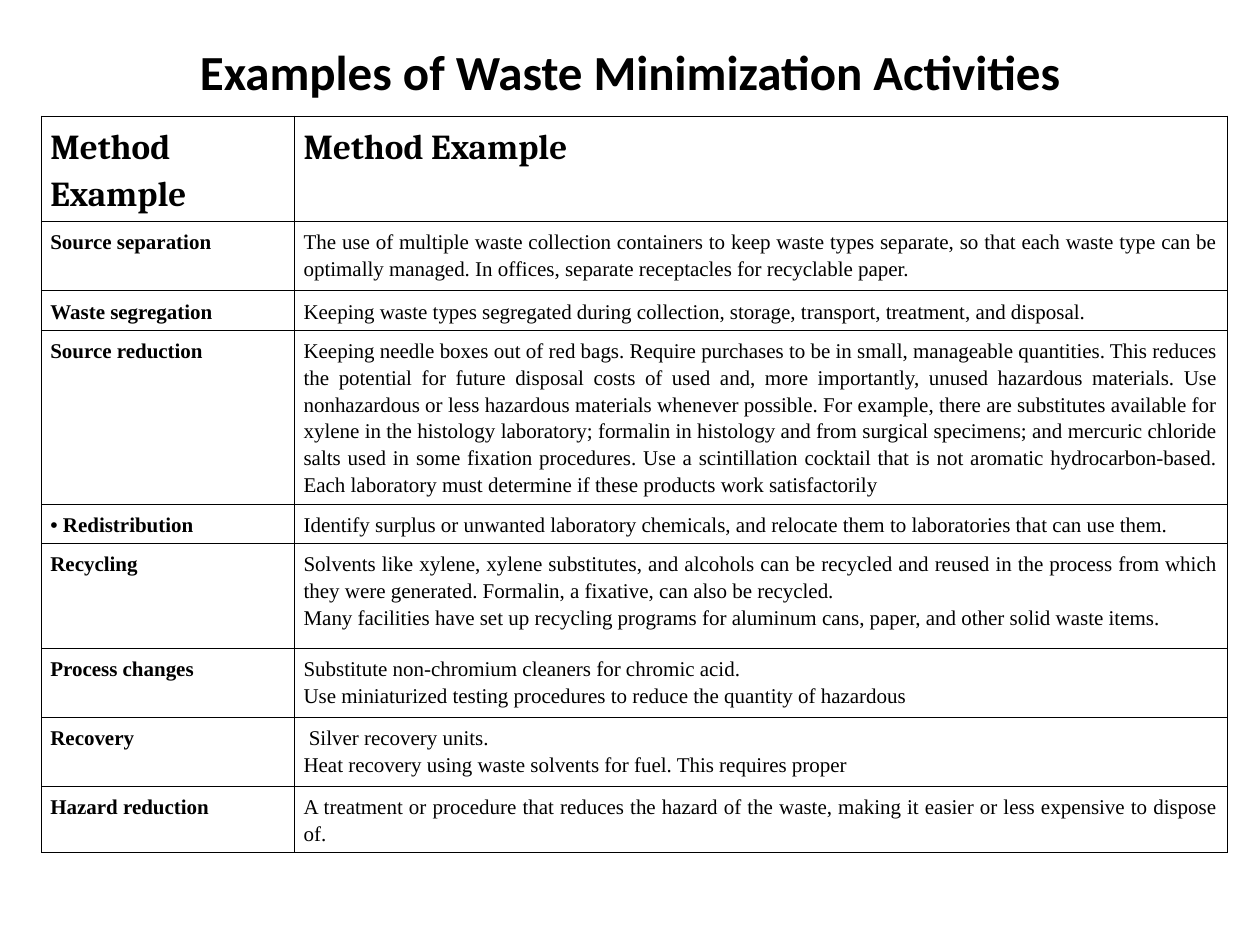
from lxml import etree
from pptx import Presentation, util as u
from pptx.dml.color import RGBColor
from pptx.enum import text
from pptx.oxml import ns

TITLE = "Examples of Waste Minimization Activities"
HEADINGS = ("Method Example", "Method Example")
METHODS = [
    ("Source separation",
     "The use of multiple waste collection containers to keep waste types separate, "
     "so that each waste type can be optimally managed. In offices, separate "
     "receptacles for recyclable paper."),
    ("Waste segregation",
     "Keeping waste types segregated during collection, storage, transport, "
     "treatment, and disposal."),
    ("Source reduction",
     "Keeping needle boxes out of red bags. Require purchases to be in small, "
     "manageable quantities. This reduces the potential for future disposal costs "
     "of used and, more importantly, unused hazardous materials. Use nonhazardous "
     "or less hazardous materials whenever possible. For example, there are "
     "substitutes available for xylene in the histology laboratory; formalin in "
     "histology and from surgical specimens; and mercuric chloride salts used in "
     "some fixation procedures. Use a scintillation cocktail that is not aromatic "
     "hydrocarbon-based. Each laboratory must determine if these products work "
     "satisfactorily"),
    ("• Redistribution",
     "Identify surplus or unwanted laboratory chemicals, and relocate them to "
     "laboratories that can use them."),
    ("Recycling",
     "Solvents like xylene, xylene substitutes, and alcohols can be recycled and "
     "reused in the process from which they were generated. Formalin, a fixative, "
     "can also be recycled.\n"
     "Many facilities have set up recycling programs for aluminum cans, paper, and "
     "other solid waste items."),
    ("Process changes",
     "Substitute non-chromium cleaners for chromic acid.\n"
     "Use miniaturized testing procedures to reduce the quantity of hazardous"),
    ("Recovery",
     " Silver recovery units.\n"
     "Heat recovery using waste solvents for fuel. This requires proper"),
    ("Hazard reduction",
     "A treatment or procedure that reduces the hazard of the waste, making it "
     "easier or less expensive to dispose of."),
]
COLUMN_WIDTHS = (2.01, 7.4)
ROW_HEIGHTS = (0.77, 0.55, 0.28, 1.38, 0.28, 0.83, 0.55, 0.55, 0.46)
BLACK = "000000"


def color(value):
    return RGBColor.from_string(value)


def format_text(frame, font, size, bold, alignment, spacing):
    for paragraph in frame.paragraphs:
        paragraph.alignment = alignment
        paragraph.line_spacing = spacing
        for run in paragraph.runs:
            run.font.name = font
            run.font.size = u.Pt(size)
            run.font.bold = bold
            run.font.color.rgb = color(BLACK)


def add_borders(cell, value, width):
    properties = cell._tc.get_or_add_tcPr()
    for side in ("a:lnL", "a:lnR", "a:lnT", "a:lnB"):
        line = etree.SubElement(properties, ns.qn(side), w=str(u.Pt(width)))
        fill = etree.SubElement(line, ns.qn("a:solidFill"))
        etree.SubElement(fill, ns.qn("a:srgbClr"), val=value)


presentation = Presentation()
presentation.slide_width, presentation.slide_height = u.Inches(10), u.Inches(7.5)
slide = presentation.slides.add_slide(presentation.slide_layouts[6])

rows = [HEADINGS] + METHODS
table = slide.shapes.add_table(
    len(rows), len(COLUMN_WIDTHS), u.Inches(0.33), u.Inches(0.92),
    u.Inches(sum(COLUMN_WIDTHS)), u.Inches(sum(ROW_HEIGHTS))).table
table.horz_banding = False
for column, width in zip(table.columns, COLUMN_WIDTHS):
    column.width = u.Inches(width)
for row, height in zip(table.rows, ROW_HEIGHTS):
    row.height = u.Inches(height)

for row_index, contents in enumerate(rows):
    for column_index, content in enumerate(contents):
        cell = table.cell(row_index, column_index)
        cell.margin_left = cell.margin_right = u.Inches(0.07)
        cell.margin_top = cell.margin_bottom = u.Inches(0.05)
        cell.text_frame.text = content
        is_heading = row_index == 0
        font, size = ("Cambria", 20) if is_heading else ("Times New Roman", 12)
        format_text(cell.text_frame, font, size, is_heading or column_index == 0,
                    text.PP_ALIGN.JUSTIFY, 1.15)
        add_borders(cell, BLACK, 0.45)
        cell.fill.background()

title = slide.shapes.add_textbox(
    u.Inches(0.5), u.Inches(0.3), u.Inches(9), u.Inches(0.53))
title.text_frame.word_wrap = True
title.text_frame.vertical_anchor = text.MSO_ANCHOR.MIDDLE
title.text_frame.text = TITLE
format_text(title.text_frame, "Calibri", 28, True, text.PP_ALIGN.CENTER, 1.0)

presentation.save("out.pptx")
